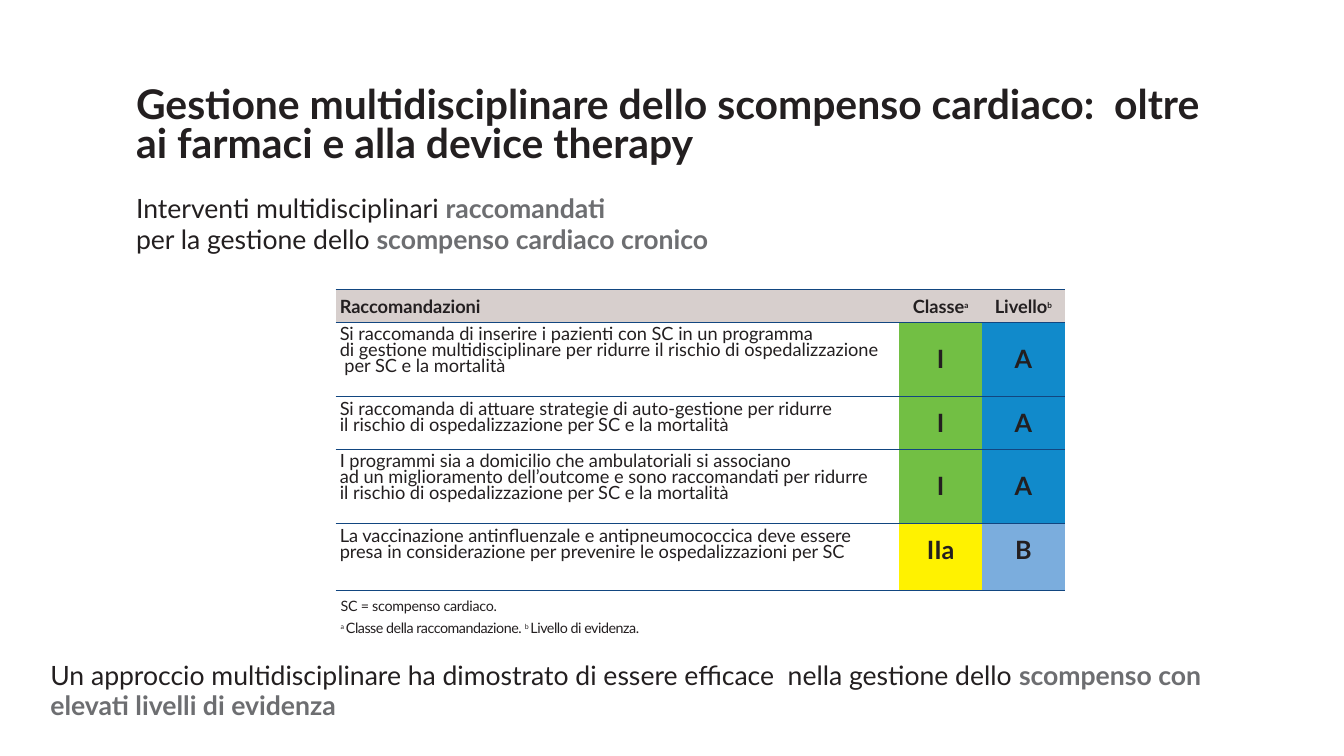
from lxml.etree import SubElement
from pptx import Presentation
from pptx.dml.color import RGBColor
from pptx.enum.text import MSO_ANCHOR as Anchor, PP_ALIGN as Align
from pptx.oxml.ns import qn
from pptx.util import Inches, Pt

INK, GREY, NAVY = "231F20", "6D6E71", "124680"
GREEN, BLUE, YELLOW, SKY, SAND = "72BF44", "118ACB", "FFF200", "7BADDD", "D7CFCD"


def color(code):
    return RGBColor.from_string(code)


def write(par, text, size=13, ink=INK, bold=False, lift=0, track=0):
    """Add text to a paragraph; a newline becomes a line break."""
    for num, line in enumerate(text.split("\n")):
        if num:
            par.add_line_break()
        run = par.add_run()
        run.text = line
        font = run.font
        font.name, font.size, font.bold = "Lato", Pt(size), bold
        font.color.rgb = color(ink)
        props = run._r.get_or_add_rPr()
        if lift:
            props.set("baseline", str(lift * 1000))
        if track:
            props.set("spc", str(round(track * 100)))


def space(par, line=None, before=None):
    if line:
        par.line_spacing = line
    if before:
        par.space_before = Pt(before)


def add_box(slide, left, top, width, height, inset, indent=0.02):
    """Add an empty text box and return its frame."""
    box = slide.shapes.add_textbox(*map(Inches, (left, top, width, height)))
    frame = box.text_frame
    frame.word_wrap = True
    frame.margin_left, frame.margin_top = Inches(indent), Inches(inset)
    frame.margin_right = frame.margin_bottom = 0
    return frame


def add_title(slide, *box):
    frame = add_box(slide, *box, inset=0.12)
    head = frame.paragraphs[0]
    space(head, 0.8)
    write(head, "Gestione multidisciplinare dello scompenso cardiaco:  oltre\n"
          "ai farmaci e alla device therapy", size=29.2, bold=True)
    for plain, strong, gap in (
            ("Interventi multidisciplinari ", "raccomandati", 18.7),
            ("per la gestione dello ", "scompenso cardiaco cronico", 0)):
        par = frame.add_paragraph()
        space(par, Pt(22.2), gap)
        write(par, plain, size=19)
        write(par, strong, size=19, ink=GREY, bold=True)


def style(cell, inset, fill=None, indent=0):
    """Set a cell's margins, fill and horizontal rules."""
    cell.margin_left, cell.margin_top = Inches(indent), Inches(inset)
    cell.margin_right = cell.margin_bottom = 0
    cell.vertical_anchor = Anchor.TOP
    props = cell._tc.get_or_add_tcPr()
    for side in ("L", "R", "T", "B"):
        rule = SubElement(props, qn("a:ln" + side), w=str(Pt(1)))
        if side in "LR":
            SubElement(rule, qn("a:noFill"))
        else:
            paint = SubElement(rule, qn("a:solidFill"))
            SubElement(paint, qn("a:srgbClr"), val=NAVY)
    if fill:
        cell.fill.solid()
        cell.fill.fore_color.rgb = color(fill)
    else:
        cell.fill.background()


def add_grades(slide, left, top, width, height):
    """Add the table of recommendations with class and level."""
    rows = (
        (0.73, ("Si raccomanda di inserire i pazienti con SC in un programma",
                "di gestione multidisciplinare per ridurre il rischio di "
                "ospedalizzazione\n per SC e la mortalità"),
         ("I", GREEN), ("A", BLUE)),
        (0.53, ("Si raccomanda di attuare strategie di auto-gestione per ridurre\n"
                "il rischio di ospedalizzazione per SC e la mortalità",),
         ("I", GREEN), ("A", BLUE)),
        (0.73, ("I programmi sia a domicilio che ambulatoriali si associano",
                "ad un miglioramento dell’outcome e sono raccomandati per ridurre\n"
                "il rischio di ospedalizzazione per SC e la mortalità"),
         ("I", GREEN), ("A", BLUE)),
        (0.67, ("La vaccinazione antinfluenzale e antipneumococcica deve essere\n"
                "presa in considerazione per prevenire le ospedalizzazioni per SC",),
         ("IIa", YELLOW), ("B", SKY)))
    table = slide.shapes.add_table(
        len(rows) + 1, 3, *map(Inches, (left, top, width, height))).table
    table.first_row = table.horz_banding = False
    narrow = 0.82
    for col, wide in zip(table.columns, (width - 2 * narrow, narrow, narrow)):
        col.width = Inches(wide)
    table.rows[0].height = Inches(0.33)
    heads = (("Raccomandazioni", ""), ("Classe", "a"), ("Livello", "b"))
    for num, (text, mark) in enumerate(heads):
        cell = table.cell(0, num)
        style(cell, 0.06, SAND, 0 if num else 0.04)
        par = cell.text_frame.paragraphs[0]
        par.alignment = Align.CENTER if num else Align.LEFT
        write(par, text, bold=True)
        if mark:
            write(par, mark, size=10, bold=True, lift=35)
    for num, (tall, lines, *marks) in enumerate(rows, 1):
        table.rows[num].height = Inches(tall)
        double = len(lines) == 2
        cell = table.cell(num, 0)
        style(cell, 0.05 if double else 0.08, indent=0.04)
        frame = cell.text_frame
        for pos, line in enumerate(lines):
            par = frame.add_paragraph() if pos else frame.paragraphs[0]
            space(par, Pt(11.8 if double and not pos else 11), 0.9 * pos)
            write(par, line)
        for pos, (mark, fill) in enumerate(marks, 1):
            cell = table.cell(num, pos)
            style(cell, 0.21 if double else 0.11, fill)
            par = cell.text_frame.paragraphs[0]
            par.alignment = Align.CENTER
            write(par, mark, size=18, bold=True)


def add_notes(slide, *box):
    """Add the key below the table."""
    frame = add_box(slide, *box, inset=0.06, indent=0.05)
    write(frame.paragraphs[0], "SC = scompenso cardiaco.", size=10.2, track=-0.2)
    par = frame.add_paragraph()
    space(par, before=2.9)
    for mark, text in (("a ", "Classe della raccomandazione. "),
                       ("b ", "Livello di evidenza.")):
        write(par, mark, size=8.6, lift=31)
        write(par, text, size=10.2, track=-0.35)


def add_close(slide, *box):
    """Add the closing statement."""
    par = add_box(slide, *box, inset=0.04).paragraphs[0]
    space(par, Pt(21.6))
    write(par, "Un approccio multidisciplinare ha dimostrato di essere efficace  "
          "nella gestione dello ", size=19)
    write(par, "scompenso con\nelevati livelli di evidenza",
          size=19, ink=GREY, bold=True)


def main():
    deck = Presentation()
    deck.slide_width, deck.slide_height = Inches(13.33), Inches(7.5)
    slide = deck.slides.add_slide(deck.slide_layouts[6])
    add_grades(slide, 3.33, 2.87, 7.23, 2.98)
    add_notes(slide, 3.33, 5.87, 3.23, 0.44)
    add_title(slide, 1.33, 0.75, 10.79, 1.79)
    add_close(slide, 0.48, 6.51, 12.26, 0.66)
    deck.save("out.pptx")


if __name__ == "__main__":
    main()
